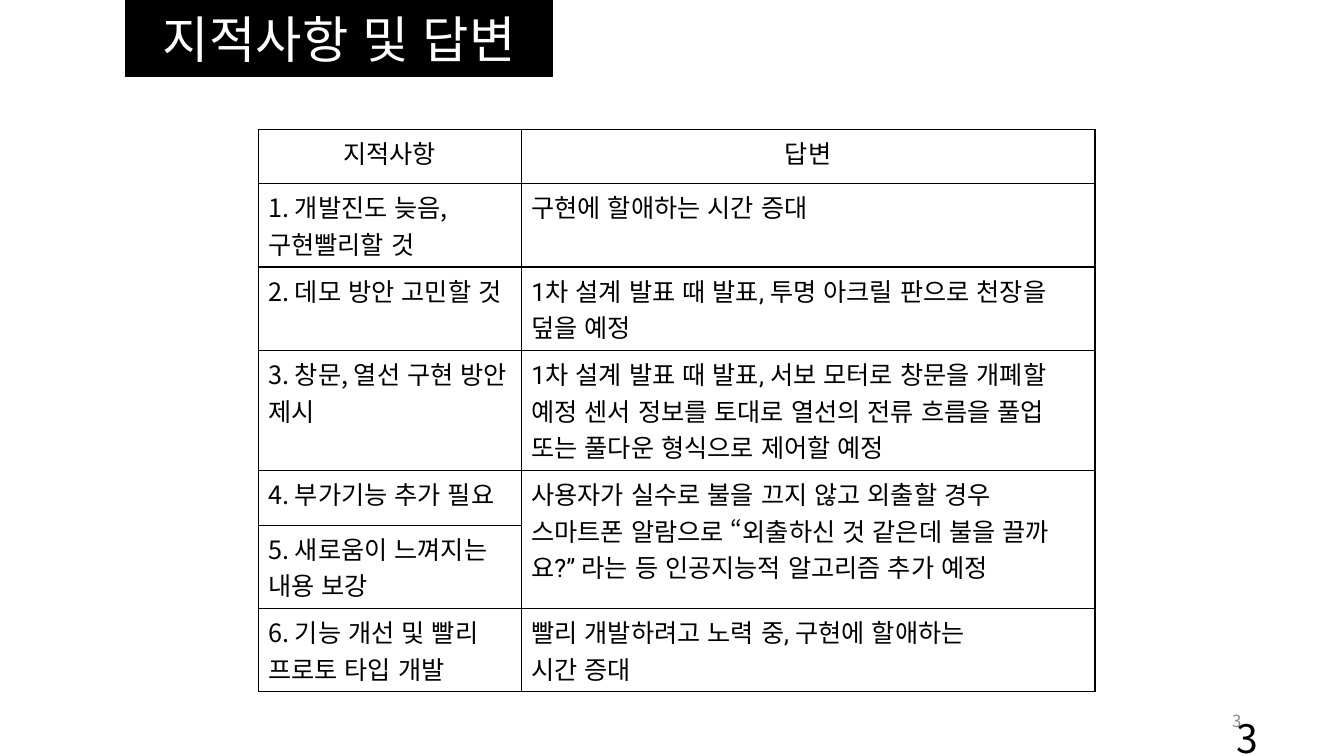
from lxml import etree
from pptx import Presentation
from pptx.dml.color import RGBColor
from pptx.enum import lang, shapes, text
from pptx.oxml import ns
from pptx.util import Pt

KOREAN = "Noto Sans CJK KR"
LATIN = "Roboto"
BLACK = "000000"
WHITE = "FFFFFF"
GREY = "898989"
LEFT, CENTER, RIGHT = text.PP_ALIGN.LEFT, text.PP_ALIGN.CENTER, text.PP_ALIGN.RIGHT

HEADER = ("지적사항", "답변")
FEEDBACK = [
    ("1. 개발진도 늦음, 구현빨리할 것", "구현에 할애하는 시간 증대"),
    ("2. 데모 방안 고민할 것", "1차 설계 발표 때 발표, 투명 아크릴 판으로 천장을 덮을 예정"),
    ("3. 창문, 열선 구현 방안 제시",
     "1차 설계 발표 때 발표, 서보 모터로 창문을 개폐할 예정 센서 정보를 토대로 "
     "열선의 전류 흐름을 풀업 또는 풀다운 형식으로 제어할 예정"),
    ("4. 부가기능 추가 필요",
     "사용자가 실수로 불을 끄지 않고 외출할 경우 스마트폰 알람으로 "
     "“외출하신 것 같은데 불을 끌까요?” 라는 등 인공지능적 알고리즘 추가 예정"),
    ("5. 새로움이 느껴지는 내용 보강", None),
    ("6. 기능 개선 및 빨리 프로토 타입 개발",
     "빨리 개발하려고 노력 중, 구현에 할애하는\n시간 증대"),
]
COLUMN_WIDTHS = (188, 410)
ROW_HEIGHTS = (39, 59.5, 59.5, 86, 39, 59.5, 59.5)


def color(value):
    return RGBColor.from_string(value)


def write(frame, content, size=18, font=KOREAN, ink=BLACK, align=LEFT):
    frame.word_wrap = True
    for index, line in enumerate(content.split("\n")):
        para = frame.add_paragraph() if index else frame.paragraphs[0]
        para.alignment = align
        span = para.add_run()
        span.text = line
        span.font.size = Pt(size)
        span.font.name = font
        span.font.color.rgb = color(ink)
        span.font.language_id = lang.MSO_LANGUAGE_ID.KOREAN
        properties = span.font._element
        etree.SubElement(properties, ns.qn("a:ea"), typeface=KOREAN)


def add_title(page, content):
    box = page.shapes.add_shape(
        shapes.MSO_SHAPE.RECTANGLE, Pt(90), Pt(0), Pt(305), Pt(54.5))
    box.shadow.inherit = False
    box.fill.solid()
    box.fill.fore_color.rgb = color(BLACK)
    box.line.color.rgb = color(BLACK)
    box.line.width = Pt(1)
    box.text_frame.vertical_anchor = text.MSO_ANCHOR.MIDDLE
    write(box.text_frame, content, size=36, ink=WHITE, align=CENTER)


def add_number(page, left, top, content, size, ink):
    box = page.shapes.add_textbox(Pt(left), Pt(top), Pt(216), Pt(28.75))
    box.text_frame.vertical_anchor = text.MSO_ANCHOR.MIDDLE
    write(box.text_frame, content, size=size, ink=ink, align=RIGHT)


def add_borders(cell):
    properties = cell._tc.get_or_add_tcPr()
    for index, side in enumerate(("lnL", "lnR", "lnT", "lnB")):
        border = etree.Element(ns.qn(f"a:{side}"), w=str(Pt(1)))
        fill = etree.SubElement(border, ns.qn("a:solidFill"))
        etree.SubElement(fill, ns.qn("a:srgbClr"), val=BLACK)
        properties.insert(index, border)


def add_feedback_table(page):
    rows = [HEADER] + FEEDBACK
    table = page.shapes.add_table(
        len(rows), len(HEADER), Pt(184.5), Pt(92.25),
        Pt(sum(COLUMN_WIDTHS)), Pt(sum(ROW_HEIGHTS))).table
    table.first_row = False
    table.horz_banding = False
    for column, width in zip(table.columns, COLUMN_WIDTHS):
        column.width = Pt(width)
    for row, height in zip(table.rows, ROW_HEIGHTS):
        row.height = Pt(height)
    for row_index, row in enumerate(rows):
        for column_index, content in enumerate(row):
            cell = table.cell(row_index, column_index)
            cell.fill.background()
            add_borders(cell)
            if content is None:
                table.cell(row_index - 1, column_index).merge(cell)
            else:
                is_header = row_index == 0
                is_answer = column_index == 1 and not is_header
                write(cell.text_frame, content,
                      font=LATIN if is_answer else KOREAN,
                      align=CENTER if is_header else LEFT)


def main():
    deck = Presentation()
    deck.slide_width = Pt(960.5)
    deck.slide_height = Pt(540)
    page = deck.slides.add_slide(deck.slide_layouts[6])
    add_title(page, "지적사항 및 답변")
    add_feedback_table(page)
    add_number(page, 678.25, 500.5, "3", size=12, ink=GREY)
    add_number(page, 690.5, 512.75, "3", size=28, ink=BLACK)
    deck.save("out.pptx")


if __name__ == "__main__":
    main()
